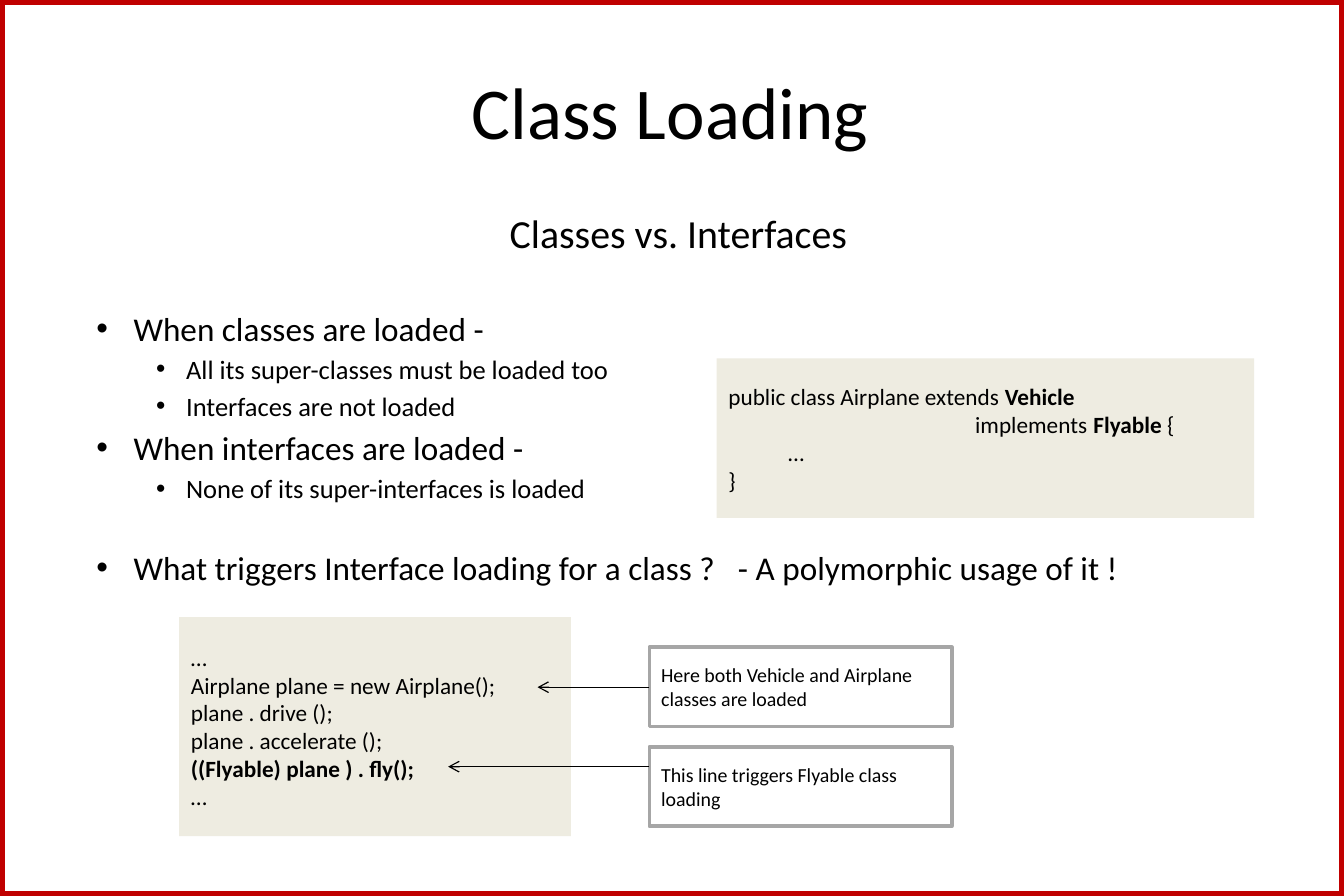
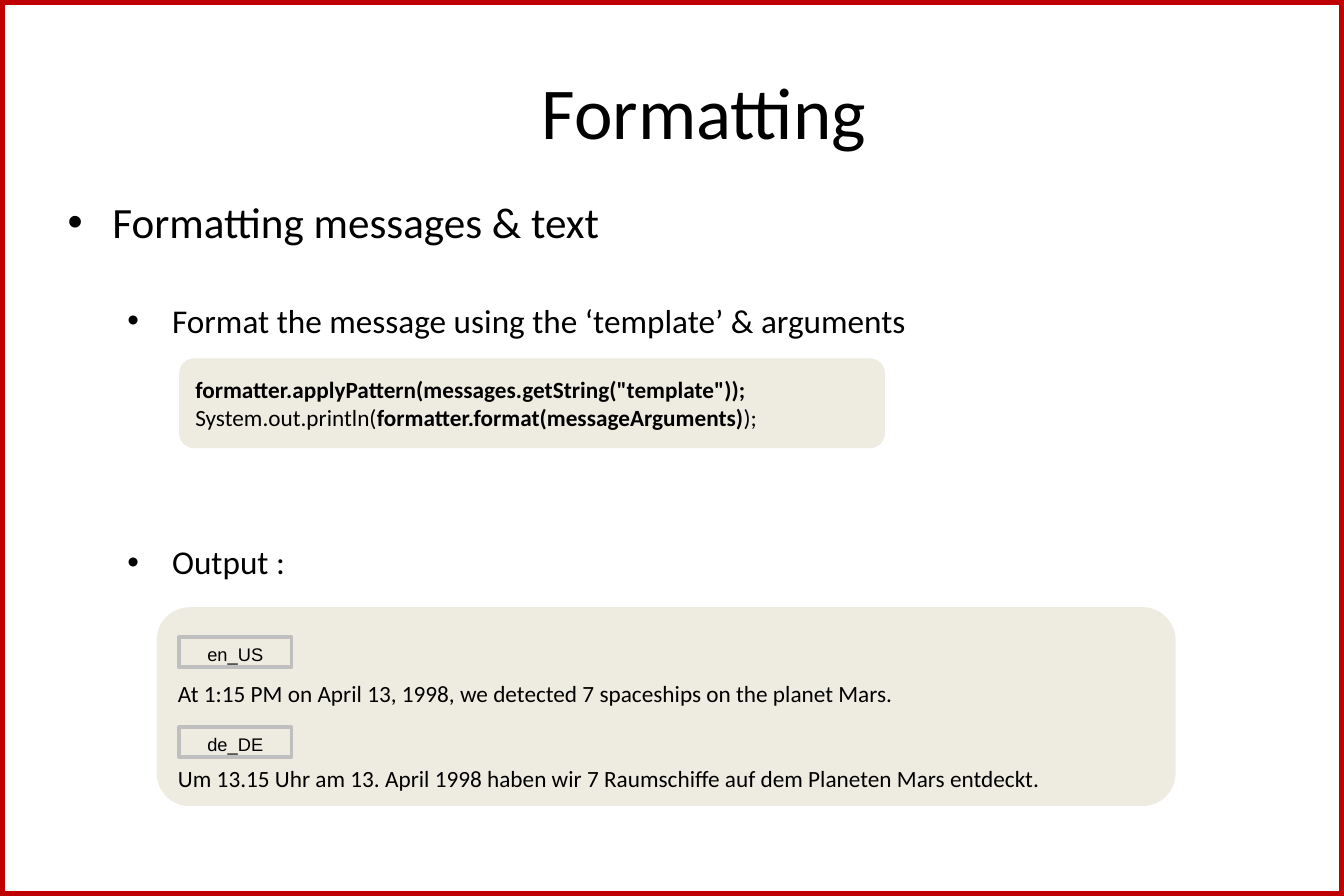
from dataclasses import dataclass

from lxml import etree
from pptx import Presentation
from pptx import util as u
from pptx.dml import color
from pptx.enum import shapes, text
from pptx.oxml import ns

RECTANGLE = shapes.MSO_SHAPE.RECTANGLE
ROUNDED = shapes.MSO_SHAPE.FLOWCHART_ALTERNATE_PROCESS
BOLD_MARK = "**"


@dataclass(frozen=True)
class Theme:
    font: str = "Calibri"
    label_font: str = "Arial"
    ink: str = "000000"
    frame: str = "C00000"
    panel: str = "EEECE1"
    callout_edge: str = "A6A6A6"
    label_edge: str = "BFBFBF"
    title_size: float = 44
    topic_size: float = 26
    heading_size: float = 24
    bullet_size: float = 20
    detail_size: float = 16
    code_size: float = 14
    callout_size: float = 12
    label_size: float = 11


@dataclass(frozen=True)
class Level:
    size: float
    left: float
    hanging: float


class Deck:
    def __init__(self, theme, width, height):
        self.theme = theme
        self.presentation = Presentation()
        self.presentation.slide_width = u.Cm(width)
        self.presentation.slide_height = u.Cm(height)
        self.slide = None

    def new_slide(self, title, title_left):
        self.slide = self.presentation.slides.add_slide(self.presentation.slide_layouts[6])
        width, height = self.presentation.slide_width, self.presentation.slide_height
        border = self.slide.shapes.add_shape(RECTANGLE, 0, 0, width, height)
        self.paint(border, edge=self.theme.frame, weight=5.5)
        frame = self.text_box(title_left, 0.76, 25.7, 3.18)
        frame.vertical_anchor = text.MSO_ANCHOR.MIDDLE
        self.add_text(frame, title, self.theme.title_size, centred=True)

    def paint(self, shape, fill=None, edge=None, weight=2.25):
        shape.shadow.inherit = False
        if fill:
            shape.fill.solid()
            shape.fill.fore_color.rgb = color.RGBColor.from_string(fill)
        else:
            shape.fill.background()
        if edge:
            shape.line.color.rgb = color.RGBColor.from_string(edge)
            shape.line.width = u.Pt(weight)
        else:
            shape.line.fill.background()

    def text_box(self, left, top, width, height):
        box = self.slide.shapes.add_textbox(*map(u.Cm, (left, top, width, height)))
        box.text_frame.word_wrap = True
        return box.text_frame

    def add_text(self, frame, content, size, font=None, centred=False, gap=0, level=None):
        paragraph = frame.paragraphs[0]
        if paragraph.runs:
            paragraph = frame.add_paragraph()
        if level:
            self.add_bullet(paragraph, level)
        paragraph.alignment = text.PP_ALIGN.CENTER if centred else text.PP_ALIGN.LEFT
        paragraph.space_before = u.Pt(gap)
        paragraph.font.size = u.Pt(size)
        paragraph.font.name = font or self.theme.font
        paragraph.font.color.rgb = color.RGBColor.from_string(self.theme.ink)
        for index, part in enumerate(content.split(BOLD_MARK)):
            if part:
                run = paragraph.add_run()
                run.text = part
                if index % 2:
                    run.font.bold = True
        return paragraph

    def add_bullet(self, paragraph, level):
        properties = paragraph._p.get_or_add_pPr()
        properties.set("marL", str(u.Cm(level.left)))
        properties.set("indent", str(-u.Cm(level.hanging)))
        etree.SubElement(properties, ns.qn("a:buFont")).set("typeface", "Arial")
        etree.SubElement(properties, ns.qn("a:buChar")).set("char", "•")

    def bullets(self, frame, items):
        for level, gap, content in items:
            paragraph = self.add_text(frame, content, level.size, gap=gap, level=level)
        return paragraph

    def append_spaced(self, paragraph, content, extra):
        space = paragraph.add_run()
        space.text = " "
        space.font._element.set("spc", str(extra * 100))
        paragraph.add_run().text = content

    def box(self, kind, left, top, width, height, lines, size, fill=None, edge=None,
            anchor=text.MSO_ANCHOR.MIDDLE, gap=0, **style):
        shape = self.slide.shapes.add_shape(kind, *map(u.Cm, (left, top, width, height)))
        self.paint(shape, fill, edge)
        frame = shape.text_frame
        frame.word_wrap = True
        frame.vertical_anchor = anchor
        for index, line in enumerate(lines):
            self.add_text(frame, line, size, gap=gap if index else 0, **style)
        return frame

    def panel(self, kind, left, top, width, height, lines, **style):
        return self.box(kind, left, top, width, height, lines, self.theme.code_size,
                        fill=self.theme.panel, **style)

    def callout(self, left, top, lines):
        self.box(RECTANGLE, left, top, 6.43, 1.69, lines, self.theme.callout_size,
                 edge=self.theme.callout_edge)

    def label(self, left, top, content):
        self.box(RECTANGLE, left, top, 2.39, 0.64, [content], self.theme.label_size,
                 edge=self.theme.label_edge, anchor=text.MSO_ANCHOR.TOP,
                 font=self.theme.label_font, centred=True)

    def arrow(self, start, end, y):
        connector = self.slide.shapes.add_connector(
            shapes.MSO_CONNECTOR.STRAIGHT, *map(u.Cm, (start, y, end, y)))
        connector.line.color.rgb = color.RGBColor.from_string(self.theme.ink)
        connector.line.width = u.Pt(0.75)
        etree.SubElement(connector.line._get_or_add_ln(), ns.qn("a:tailEnd")).set("type", "arrow")
        etree.SubElement(connector._element.spPr, ns.qn("a:effectLst"))


def class_loading(deck):
    theme = deck.theme
    bullet = Level(theme.bullet_size, 2.06, 0.79)
    detail = Level(theme.detail_size, 3.18, 0.64)
    deck.new_slide("Class Loading", 1.4)
    body = deck.text_box(0.53, 4.32, 27.79, 11.86)
    deck.add_text(body, "Classes vs. Interfaces", theme.heading_size, centred=True)
    question = deck.bullets(body, [
        (bullet, 31, "When classes are loaded -"),
        (detail, 2.9, "All its super-classes must be loaded too"),
        (detail, 2.9, "Interfaces are not loaded"),
        (bullet, 3.7, "When interfaces are loaded -"),
        (detail, 2.9, "None of its super-interfaces is loaded"),
        (bullet, 26, "What triggers Interface loading for a class ?"),
    ])
    deck.append_spaced(question, "- A polymorphic usage of it !", 9)
    deck.panel(RECTANGLE, 15.24, 7.62, 11.43, 3.39, [
        "public class Airplane extends **Vehicle**",
        "                                               implements **Flyable** {",
        "\t…",
        "}",
    ])
    deck.panel(RECTANGLE, 3.81, 13.12, 8.33, 4.66, [
        "…",
        "Airplane plane = new Airplane();",
        "plane . drive ();",
        "plane . accelerate ();",
        "**((Flyable) plane ) . fly();**",
        "…",
    ])
    callout_left, callout_top, pitch = 13.81, 13.76, 2.12
    callouts = [
        (["Here both Vehicle and Airplane", "classes are loaded"], 11.43, 14.61),
        (["This line triggers Flyable class", "loading"], 9.53, 16.3),
    ]
    for index, (lines, target, y) in enumerate(callouts):
        deck.callout(callout_left, callout_top + index * pitch, lines)
        deck.arrow(callout_left, target, y)


def formatting(deck):
    theme = deck.theme
    topic = Level(theme.topic_size, 0.95, 0.95)
    bullet = Level(theme.bullet_size, 2.22, 0.95)
    deck.new_slide("Formatting", 2.12)
    body = deck.text_box(1.19, 4.04, 27.15, 14.38)
    deck.bullets(body, [
        (topic, 0, "Formatting messages & text"),
        (bullet, 31.8, "Format the message using the ‘template’ & arguments"),
        (bullet, 121.5, "Output :"),
    ])
    output = deck.panel(ROUNDED, 3.33, 12.91, 21.67, 4.23, [
        "At 1:15 PM on April 13, 1998, we detected 7 spaceships on the planet Mars.",
        "Um 13.15 Uhr am 13. April 1998 haben wir 7 Raumschiffe auf dem Planeten Mars entdeckt.",
    ], anchor=text.MSO_ANCHOR.BOTTOM, gap=34.2)
    output.margin_bottom = u.Cm(0.1)
    deck.panel(ROUNDED, 3.81, 7.62, 15.01, 1.91, [
        '**formatter.applyPattern(messages.getString("template"));**',
        "System.out.println(**formatter.format(messageArguments)**);",
    ])
    for index, locale in enumerate(["en_US", "de_DE"]):
        deck.label(3.81, 13.55 + index * 1.91, locale)


def main():
    deck = Deck(Theme(), 28.58, 19.05)
    class_loading(deck)
    formatting(deck)
    deck.presentation.save("out.pptx")


if __name__ == "__main__":
    main()
